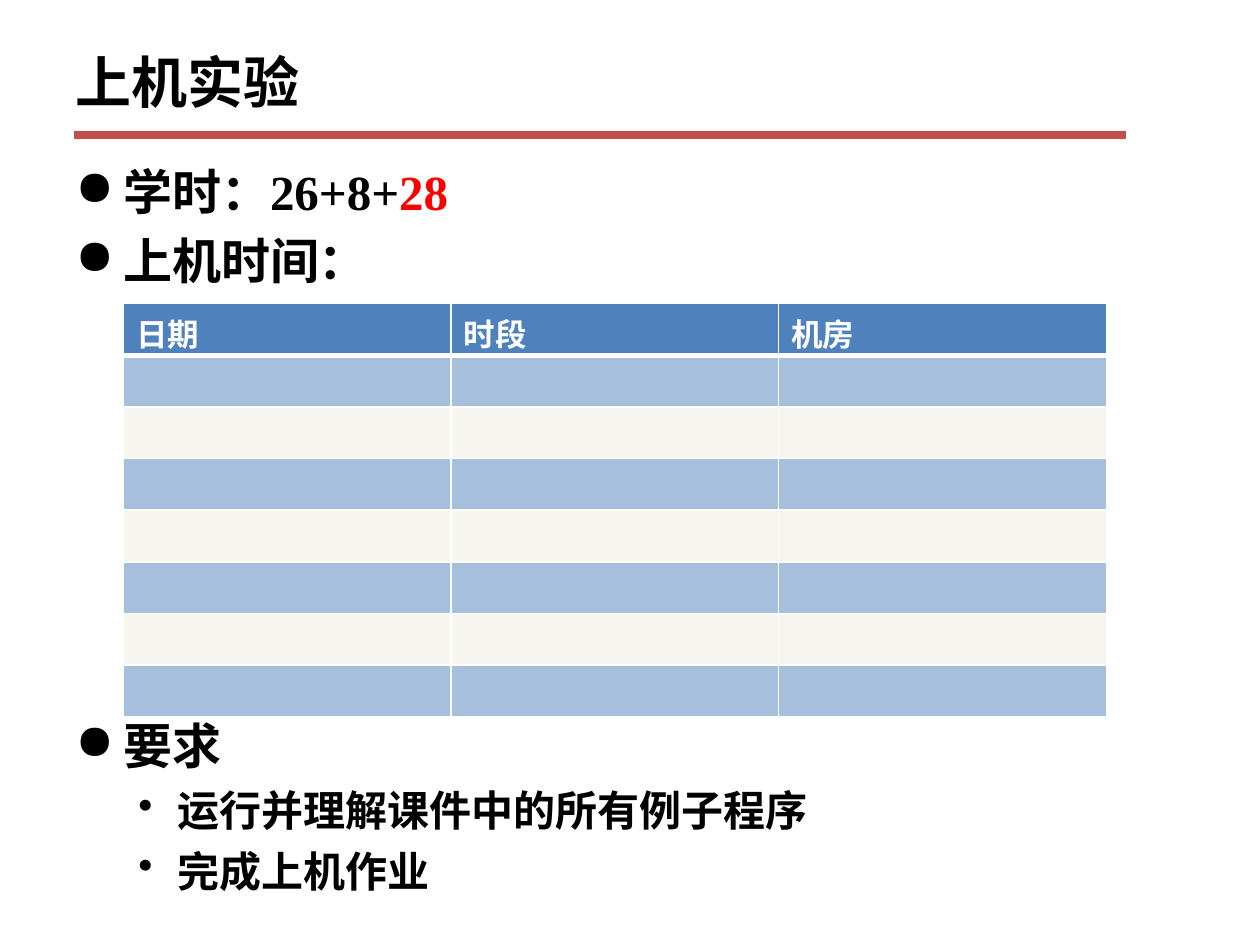
from dataclasses import dataclass

from lxml import etree
from pptx import Presentation
from pptx.dml.color import RGBColor
from pptx.enum.shapes import MSO_CONNECTOR
from pptx.enum.text import MSO_ANCHOR
from pptx.oxml.ns import qn
from pptx.util import Inches, Pt

STRAIGHT = MSO_CONNECTOR.STRAIGHT
TOP, MIDDLE, BOTTOM = MSO_ANCHOR.TOP, MSO_ANCHOR.MIDDLE, MSO_ANCHOR.BOTTOM


@dataclass(frozen=True)
class Theme:
    ink: str = "000000"
    accent: str = "FF0000"
    rule: str = "C0504D"
    white: str = "FFFFFF"
    header: str = "4F81BD"
    bands: tuple = ("4F81BD", "EEECE1")
    band_opacity: int = 50
    title_size: int = 32
    level_sizes: tuple = (28, 24)
    table_size: int = 18
    cjk: str = "Noto Sans CJK SC"
    latin: str = "Times New Roman"
    table_font: str = "DejaVu Sans"


# Bullet character, left margin and hanging indent of each level
BULLETS = (("●", 0.38, -0.38), ("•", 0.81, -0.31))


class SlideBuilder:
    def __init__(self, slide, theme):
        self.slide = slide
        self.theme = theme

    def style(self, run, size, color, font):
        run.font.size = Pt(size)
        run.font.bold = True
        run.font.name = font
        run.font.color.rgb = RGBColor.from_string(color)
        east_asian = etree.SubElement(run.font._element, qn("a:ea"))
        east_asian.set("typeface", self.theme.cjk)

    def text_frame(self, left, top, width, height, anchor):
        box = self.slide.shapes.add_textbox(
            Inches(left), Inches(top), Inches(width), Inches(height))
        box.text_frame.word_wrap = True
        box.text_frame.vertical_anchor = anchor
        return box.text_frame

    def title(self, text, *box):
        frame = self.text_frame(*box, MIDDLE)
        frame.text = text
        self.style(frame.paragraphs[0].runs[0], self.theme.title_size,
                   self.theme.ink, self.theme.cjk)

    def rule(self, left, right, y):
        line = self.slide.shapes.add_connector(
            STRAIGHT, Inches(left), Inches(y), Inches(right), Inches(y))
        line.line.color.rgb = RGBColor.from_string(self.theme.rule)
        line.line.width = Pt(4.5)
        etree.SubElement(line._element.spPr, qn("a:effectLst"))

    def bullets(self, items, *box):
        """Each item is a level and a list of (text, color) parts."""
        frame = self.text_frame(*box, TOP)
        for index, (level, parts) in enumerate(items):
            paragraph = frame.add_paragraph() if index else frame.paragraphs[0]
            paragraph.level = level
            paragraph.space_before = Pt(6)
            mark, margin, indent = BULLETS[level]
            props = paragraph._p.get_or_add_pPr()
            props.set("marL", str(Inches(margin)))
            props.set("indent", str(Inches(indent)))
            etree.SubElement(props, qn("a:buChar")).set("char", mark)
            for text, color in parts:
                run = paragraph.add_run()
                run.text = text
                self.style(run, self.theme.level_sizes[level], color,
                           self.theme.latin)

    def cell_look(self, cell, fill, opacity, edges):
        props = cell._tc.get_or_add_tcPr()
        for side, width in edges.items():
            edge = etree.SubElement(props, qn(f"a:{side}"), w=str(Pt(width)))
            paint = etree.SubElement(edge, qn("a:solidFill"))
            etree.SubElement(paint, qn("a:srgbClr"), val=self.theme.white)
        cell.fill.solid()
        cell.fill.fore_color.rgb = RGBColor.from_string(fill)
        if opacity < 100:
            color = props.find(qn("a:solidFill")).find(qn("a:srgbClr"))
            etree.SubElement(color, qn("a:alpha"), val=str(opacity * 1000))

    def table(self, headings, blank_rows, left, top, width, row_height):
        rows = blank_rows + 1
        table = self.slide.shapes.add_table(
            rows, len(headings), Inches(left), Inches(top),
            Inches(width), Inches(row_height * rows)).table
        table.horz_banding = False
        for r in range(rows):
            table.rows[r].height = Inches(row_height)
            edges = {"lnL": 1, "lnR": 1, "lnT": 3 if r == 1 else 1,
                     "lnB": 3 if r == 0 else 1}
            for c, heading in enumerate(headings):
                cell = table.cell(r, c)
                if r:
                    fill = self.theme.bands[(r - 1) % 2]
                    self.cell_look(cell, fill, self.theme.band_opacity, edges)
                else:
                    self.cell_look(cell, self.theme.header, 100, edges)
                    cell.vertical_anchor = BOTTOM
                    cell.text_frame.text = heading
                    self.style(cell.text_frame.paragraphs[0].runs[0],
                               self.theme.table_size, self.theme.white,
                               self.theme.table_font)


presentation = Presentation()
presentation.slide_width = Inches(10)
presentation.slide_height = Inches(7.5)
theme = Theme()
page = SlideBuilder(
    presentation.slides.add_slide(presentation.slide_layouts[6]), theme)

# Heading
page.rule(0.59, 8.94, 1.07)
page.title("上机实验", 0.5, 0.21, 9, 0.87)

# Hours and lab times
page.bullets([
    (0, [("学时：26+8+", theme.ink), ("28", theme.accent)]),
    (0, [("上机时间：", theme.ink)]),
], 0.5, 1.23, 9, 1.18)

# Requirements
page.bullets([
    (0, [("要求", theme.ink)]),
    (1, [("运行并理解课件中的所有例子程序", theme.ink)]),
    (1, [("完成上机作业", theme.ink)]),
], 0.5, 5.63, 9, 1.43)

# Timetable to be filled in
page.table(["日期", "时段", "机房"], 7, 0.98, 2.41, 7.8, 0.41)

presentation.save("out.pptx")
